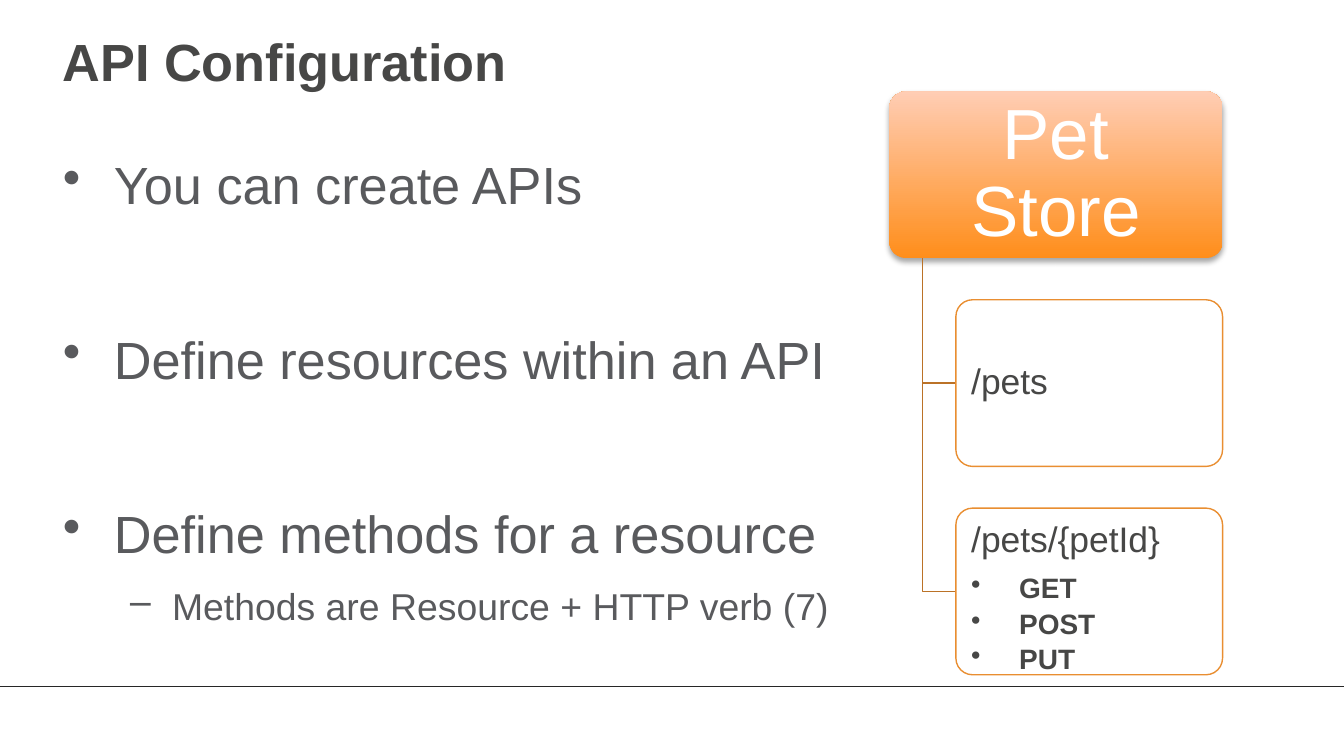
"""Build the API Configuration slide with its resource tree."""
from lxml.etree import SubElement
from pptx import Presentation
from pptx.dml.color import RGBColor
from pptx.enum.shapes import MSO_CONNECTOR, MSO_SHAPE
from pptx.enum.text import MSO_ANCHOR, PP_ALIGN
from pptx.oxml.ns import qn
from pptx.util import Pt

DARK = RGBColor(0x47, 0x47, 0x46)
GREY = RGBColor(0x59, 0x5A, 0x5D)
WHITE = RGBColor(0xFF, 0xFF, 0xFF)
BLACK = RGBColor(0, 0, 0)
RULE = RGBColor(0x27, 0x27, 0x27)
ORANGE = RGBColor(0xFF, 0x8E, 0x1B)
PEACH = RGBColor(0xFF, 0xCD, 0xB4)
BORDER = RGBColor(0xE9, 0x8E, 0x31)
BRANCH = RGBColor(0xBB, 0x72, 0x27)

STYLES = {
    "title": {"font": {"size": Pt(28), "bold": True}, "color": DARK},
    "point": {"font": {"size": Pt(28)}, "color": GREY, "bullet": ("•", 27.4, 27.4),
              "para": {"line_spacing": 1.2, "space_before": Pt(53.2)}},
    "detail": {"font": {"size": Pt(20)}, "color": GREY, "bullet": ("–", 58.5, 22.5),
               "para": {"line_spacing": 1.2, "space_before": Pt(5.2), "level": 1}},
    "root": {"font": {"size": Pt(38)}, "color": WHITE,
             "para": {"line_spacing": 0.9, "alignment": PP_ALIGN.CENTER}},
    "resource": {"font": {"size": Pt(19)}, "color": DARK,
                 "para": {"line_spacing": 0.9, "space_after": Pt(7.2),
                          "alignment": PP_ALIGN.LEFT}},
    "method": {"font": {"size": Pt(15), "bold": True}, "color": DARK,
               "bullet": ("•", 25.7, 25.7),
               "para": {"line_spacing": 0.9, "space_after": Pt(3), "level": 1,
                        "alignment": PP_ALIGN.LEFT}},
}

TITLE = [("title", "API Configuration")]
BODY = [
    ("point", "You can create APIs"),
    ("point", "Define resources within an API"),
    ("point", "Define methods for a resource"),
    ("detail", "Methods are Resource + HTTP verb (7)"),
]
ROOT = [("root", "Pet Store")]
RESOURCES = [
    (MSO_ANCHOR.MIDDLE, [("resource", "/pets")]),
    (MSO_ANCHOR.TOP, [("resource", "/pets/{petId}"), ("method", "GET"),
                      ("method", "POST"), ("method", "PUT")]),
]

SLIDE_W, SLIDE_H = 720, 405
RULE_Y = 367.8
TREE_X, TREE_Y = 476.4, 49
CARD_H = 89.3
CARD_W = 2 * CARD_H
STEP = 1.25 * CARD_H


def set_all(obj, values):
    for name, value in values.items():
        setattr(obj, name, value)


def add_bullet(p, char, margin, hang):
    pPr = p._p.get_or_add_pPr()
    pPr.set("marL", str(Pt(margin)))
    pPr.set("indent", str(-Pt(hang)))
    SubElement(pPr, qn("a:buChar")).set("char", char)


def write(tf, items, inset_x, inset_y, anchor=MSO_ANCHOR.TOP):
    set_all(tf, {"word_wrap": True, "vertical_anchor": anchor,
                 "margin_left": Pt(inset_x), "margin_right": Pt(inset_x),
                 "margin_top": Pt(inset_y), "margin_bottom": Pt(inset_y)})
    for i, (name, text) in enumerate(items):
        style = STYLES[name]
        p = tf.add_paragraph() if i else tf.paragraphs[0]
        if "bullet" in style:
            add_bullet(p, *style["bullet"])
        set_all(p, style.get("para", {}))
        if i == 0:
            p.space_before = Pt(0)
        r = p.add_run()
        r.text = text
        set_all(r.font, {"name": "Arial", **style["font"]})
        r.font.color.rgb = style["color"]


def add_text(s, box, items, inset_y):
    sp = s.shapes.add_textbox(*map(Pt, box))
    write(sp.text_frame, items, 7.2, inset_y)


def add_card(s, x, y, w):
    sp = s.shapes.add_shape(MSO_SHAPE.ROUNDED_RECTANGLE, Pt(x), Pt(y), Pt(w), Pt(CARD_H))
    sp.adjustments[0] = 0.1
    sp.shadow.inherit = False
    return sp


def set_line(sp, color, width):
    sp.line.color.rgb = color
    sp.line.width = Pt(width)


def add_shadow(sp):
    effects = sp._element.spPr.find(qn("a:effectLst"))
    shadow = SubElement(effects, qn("a:outerShdw"), blurRad=str(Pt(3.1)),
                        dist=str(Pt(1.8)), dir="5400000", rotWithShape="0")
    color = SubElement(shadow, qn("a:srgbClr"), val=str(BLACK))
    SubElement(color, qn("a:alpha"), val="35000")


def add_root(s):
    sp = add_card(s, TREE_X, TREE_Y, CARD_W)
    sp.fill.gradient()
    sp.fill.gradient_angle = 90
    for stop, color in zip(sp.fill.gradient_stops, (ORANGE, PEACH)):
        stop.color.rgb = color
    sp.line.fill.background()
    add_shadow(sp)
    write(sp.text_frame, ROOT, 8, 5, MSO_ANCHOR.MIDDLE)


def add_branch(s, x, y, end_x, end_y):
    path = s.shapes.build_freeform(Pt(x), Pt(y))
    path.add_line_segments([(Pt(x), Pt(end_y)), (Pt(end_x), Pt(end_y))], close=False)
    sp = path.convert_to_shape()
    sp.shadow.inherit = False
    sp.fill.background()
    set_line(sp, BRANCH, 0.75)


def add_resource(s, index, anchor, items):
    x, y = TREE_X + 0.2 * CARD_W, TREE_Y + (index + 1) * STEP
    add_branch(s, TREE_X + 0.1 * CARD_W, TREE_Y + CARD_H, x, y + CARD_H / 2)
    sp = add_card(s, x, y, 0.8 * CARD_W)
    sp.fill.solid()
    sp.fill.fore_color.rgb = WHITE
    set_line(sp, BORDER, 0.75)
    write(sp.text_frame, items, 5.6, 5, anchor)


def add_rule(s):
    sp = s.shapes.add_connector(MSO_CONNECTOR.STRAIGHT, 0, Pt(RULE_Y), Pt(SLIDE_W), Pt(RULE_Y))
    set_line(sp, RULE, 0.25)
    SubElement(sp._element.spPr, qn("a:effectLst"))


def main():
    prs = Presentation()
    set_all(prs, {"slide_width": Pt(SLIDE_W), "slide_height": Pt(SLIDE_H)})
    s = prs.slides.add_slide(prs.slide_layouts[6])
    add_rule(s)
    add_text(s, (26.6, 9.4, 645.8, 67.7), TITLE, 6)
    add_text(s, (26.6, 68.4, 434.9, 280), BODY, 6.6)
    add_root(s)
    for i, (anchor, items) in enumerate(RESOURCES):
        add_resource(s, i, anchor, items)
    prs.save("out.pptx")


if __name__ == "__main__":
    main()
